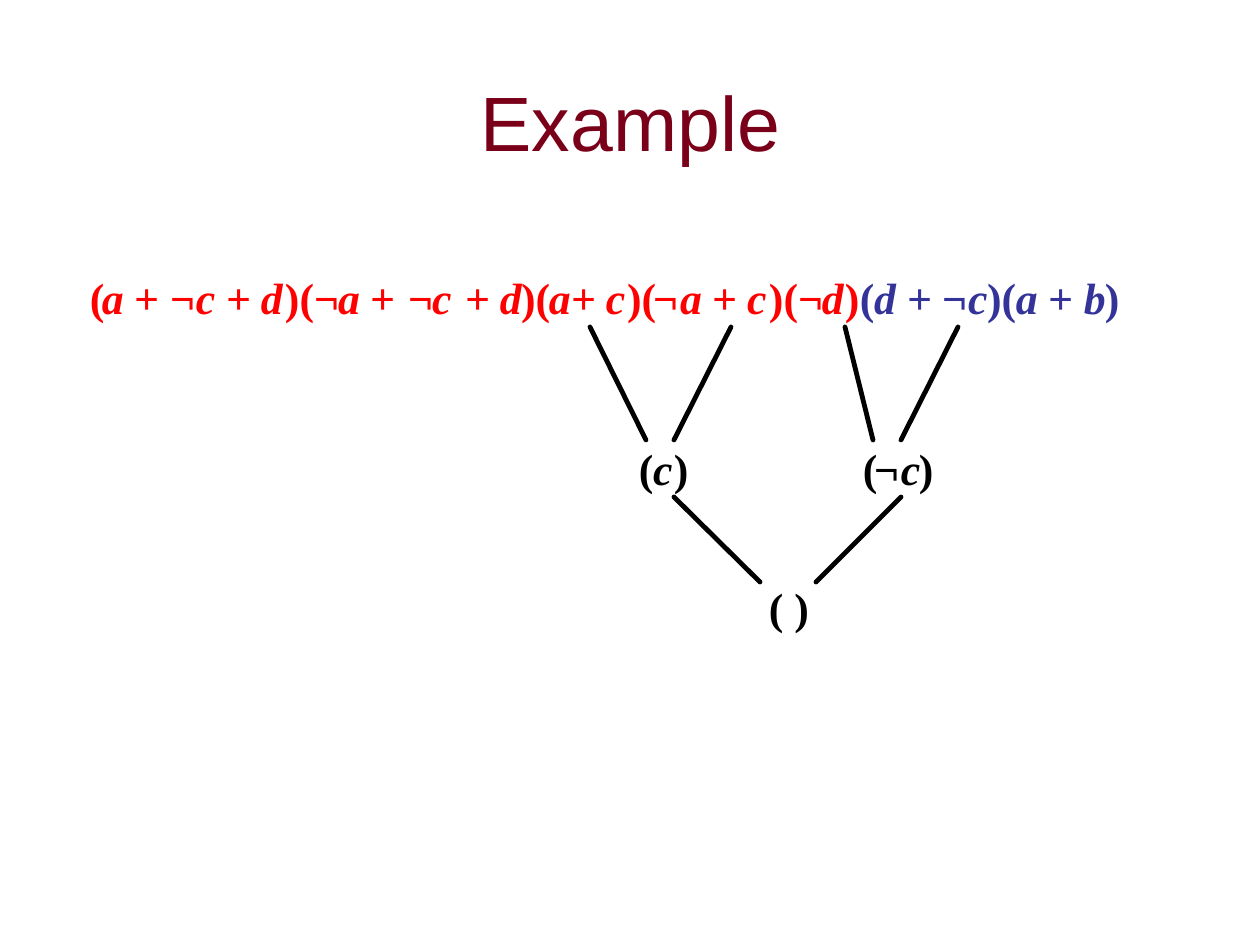
"""Build a slide showing a resolution example that derives the empty clause."""
from lxml.etree import SubElement
from pptx import Presentation
from pptx.dml.color import RGBColor
from pptx.enum.shapes import MSO_CONNECTOR
from pptx.enum.text import MSO_ANCHOR, MSO_AUTO_SIZE, PP_ALIGN
from pptx.oxml.ns import qn
from pptx.util import Emu, Pt

SCALE = 914400 / 126
TITLE_COLOR, RED, BLUE, BLACK = "7A0019", "FF0000", "333399", "000000"
SYMBOL_HEIGHT = 53
SYMBOL_WIDTHS = {"(": 15, ")": 15, "a": 22, "b": 22, "c": 20, "d": 22, "+": 26, "¬": 27, " ": 11}

ROWS = [
    (271, RED, [
        ("(", 90), ("a", 102), ("+", 134), ("¬", 170), ("c", 196), ("+", 226), ("d", 261),
        (")(", 285), ("¬", 314), ("a", 338), ("+", 370), ("¬", 408), ("c", 432), ("+", 465),
        ("d", 500), (")(", 521), ("a", 549), ("+", 571), ("c", 606), (")(", 627), ("¬", 653),
        ("a", 680), ("+", 712), ("c", 747), (")(", 769), ("¬", 798), ("d", 822), (")", 845),
    ]),
    (271, BLUE, [
        ("(", 860), ("d", 874), ("+", 907), ("¬", 942), ("c", 968), (")(", 987),
        ("a", 1016), ("+", 1048), ("b", 1084), (")", 1105),
    ]),
    (442, BLACK, [
        ("(", 639), ("c", 653), (")", 674), ("(", 863), ("¬", 874), ("c", 901), (")", 919),
    ]),
    (581, BLACK, [("( )", 769)]),
]

RESOLUTION_STEPS = [
    (327, 440, [(590, 646), (731, 674), (845, 873), (958, 901)]),
    (497, 582, [(674, 760), (901, 816)]),
]


def px(n):
    return Emu(round(n * SCALE))


def rgb(color):
    return RGBColor.from_string(color)


def add_text(s, text, x, y, w, h, size, font, color):
    box = s.shapes.add_textbox(px(x), px(y), px(w), px(h))
    box.text_frame.text = text
    r = box.text_frame.paragraphs[0].runs[0]
    r.font.size, r.font.name = Pt(size), font
    r.font.color.rgb = rgb(color)
    return box.text_frame, r


def add_title(s, text):
    tf, r = add_text(s, text, 95, 42, 1071, 157, 44, "Arial", TITLE_COLOR)
    tf.word_wrap = True
    tf.vertical_anchor = MSO_ANCHOR.MIDDLE
    tf.paragraphs[0].alignment = PP_ALIGN.CENTER


def add_symbol(s, text, x, y, color):
    width = sum(SYMBOL_WIDTHS[c] for c in text)
    tf, r = add_text(s, text, x, y, width, SYMBOL_HEIGHT, 25, "Times New Roman", color)
    tf.margin_left = tf.margin_right = tf.margin_top = tf.margin_bottom = 0
    tf.word_wrap = False
    tf.auto_size = MSO_AUTO_SIZE.SHAPE_TO_FIT_TEXT
    r.font.bold = True
    r.font.italic = text[0] not in "()"


def add_line(s, x1, y1, x2, y2):
    line = s.shapes.add_connector(MSO_CONNECTOR.STRAIGHT, px(x1), px(y1), px(x2), px(y2))
    line.line.color.rgb = rgb(BLACK)
    line.line.width = Pt(2.75)
    line.line._ln.set("cap", "rnd")
    SubElement(line._element.spPr, qn("a:effectLst"))


def main():
    prs = Presentation()
    prs.slide_width, prs.slide_height = px(1260), px(945)
    s = prs.slides.add_slide(prs.slide_layouts[6])
    add_title(s, "Example")
    for y, color, symbols in ROWS:
        for text, x in symbols:
            add_symbol(s, text, x, y, color)
    for top, bottom, lines in RESOLUTION_STEPS:
        for x1, x2 in lines:
            add_line(s, x1, top, x2, bottom)
    prs.save("out.pptx")


if __name__ == "__main__":
    main()
